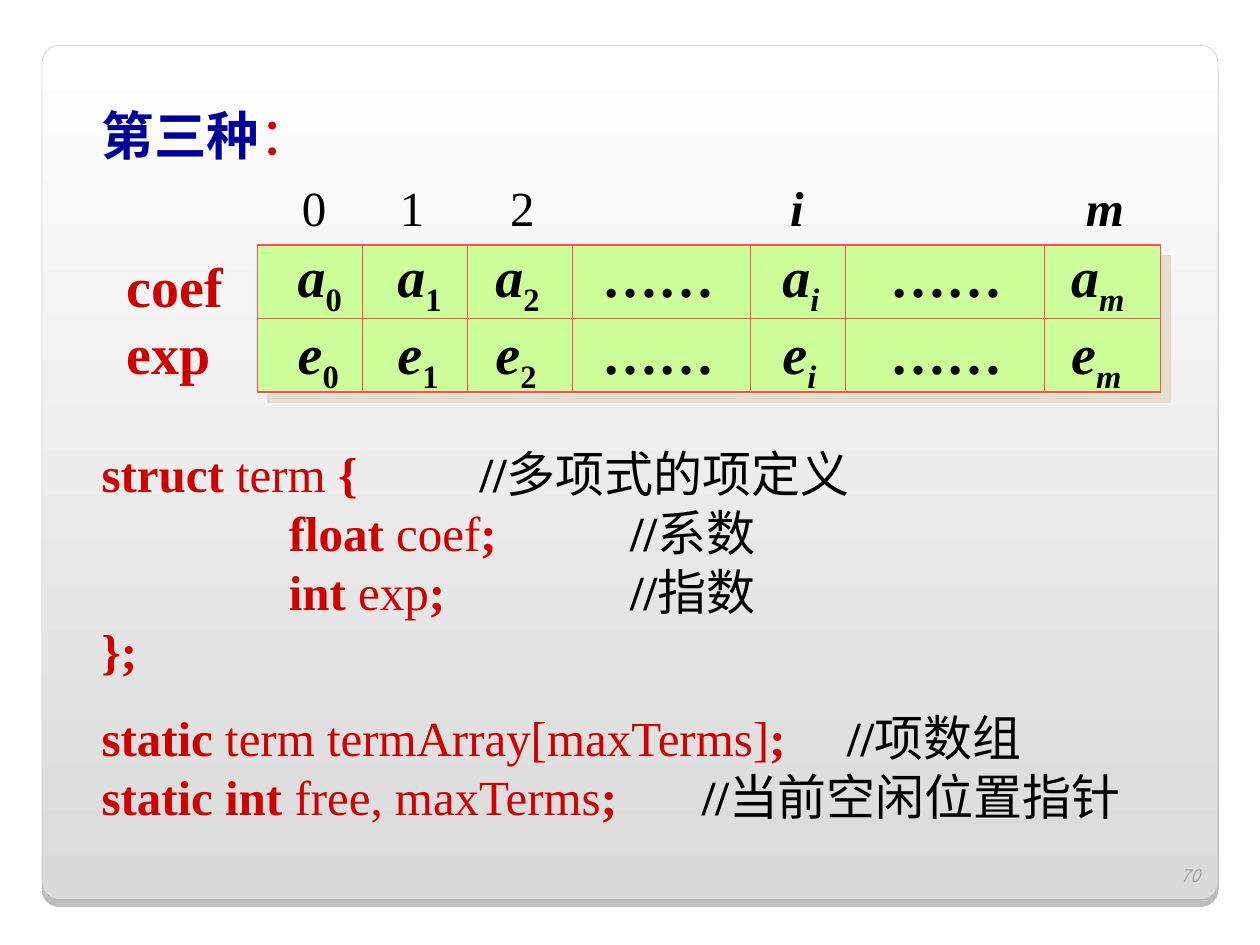
from lxml import etree
from pptx import Presentation
from pptx.dml.color import RGBColor
from pptx.enum.shapes import MSO_CONNECTOR, MSO_SHAPE
from pptx.enum.text import MSO_ANCHOR, MSO_AUTO_SIZE, PP_ALIGN
from pptx.oxml.ns import qn
from pptx.util import Pt

LINE = MSO_CONNECTOR.STRAIGHT
RECT, ROUND = MSO_SHAPE.RECTANGLE, MSO_SHAPE.ROUNDED_RECTANGLE
TOP, BOTTOM = MSO_ANCHOR.TOP, MSO_ANCHOR.BOTTOM
LEFT, RIGHT = PP_ALIGN.LEFT, PP_ALIGN.RIGHT
FIXED = MSO_AUTO_SIZE.NONE
SERIF, SANS = "Times New Roman", "Noto Sans CJK SC"
RED, BLACK, NAVY, GREY = "CC0000", "000000", "000099", "A7A399"
EDGE, GREEN = "FF5050", "CCFF99"


def rgb(code):
    return RGBColor.from_string(code)


def write(box, rows, size, pitch, face=SERIF, align=LEFT, wrap=True):
    frame = box.text_frame
    frame.word_wrap = wrap
    frame.auto_size = FIXED
    for n, (stops, gap, runs) in enumerate(rows):
        para = frame.add_paragraph() if n else frame.paragraphs[0]
        if stops:
            tabs = etree.SubElement(para._p.get_or_add_pPr(), qn("a:tabLst"))
            for stop in stops:
                etree.SubElement(tabs, qn("a:tab"), pos=str(Pt(stop)), algn="l")
        para.alignment = align
        para.line_spacing = Pt(pitch)
        para.space_before = Pt(gap)
        for text, code, style in runs:
            run = para.add_run()
            run.text = text
            font = run.font
            font.size = Pt(size)
            font.bold = "b" in style
            font.italic = "i" in style
            font.color.rgb = rgb(code)
            font.name = face
            props = run._r.get_or_add_rPr()
            etree.SubElement(props, qn("a:ea"), typeface=SANS)
            if "s" in style:
                props.set("baseline", "-25000")


deck = Presentation()
deck.slide_width, deck.slide_height = Pt(720), Pt(540)
slide = deck.slides.add_slide(deck.slide_layouts[5])
shapes = slide.shapes

panel = shapes.add_shape(ROUND, Pt(24), Pt(26), Pt(672), Pt(488))
panel.adjustments[0] = 0.02
panel.fill.gradient()
panel.fill.gradient_angle = 270
for stop, code in zip(panel.fill.gradient_stops, ("FFFFFF", "DADADA")):
    stop.color.rgb = rgb(code)
panel.line.color.rgb = rgb("A4A3A3")
panel.line.width = Pt(0.17)
panel._element.getparent().insert(2, panel._element)

title = shapes.title
title.left, title.top, title.width, title.height = Pt(51), Pt(55), Pt(628), Pt(44)
title.text_frame.vertical_anchor = TOP
write(title, [((), 0, [("第三种", NAVY, "b"), ("：", RED, "")])], 30, 36)

code_rows = [
    ([216], 0, [("struct ", RED, "b"), ("term ", RED, ""), ("{\t", RED, "b"),
                ("//", BLACK, "b"), ("多项式的项定义", BLACK, "")]),
    ([107, 302], 0, [("\tfloat ", RED, "b"), ("coef", RED, ""), (";\t", RED, "b"),
                     ("//", BLACK, "b"), ("系数", BLACK, "")]),
    ([107, 302], 0, [("\tint", RED, "b"), (" exp", RED, ""), (";\t", RED, "b"),
                     ("//", BLACK, "b"), ("指数", BLACK, "")]),
    ([], 0, [("};", RED, "b")]),
    ([426], 16, [("static ", RED, "b"), ("term termArray[maxTerms]", RED, ""),
                 (";\t", RED, "b"), ("//", BLACK, "b"), ("项数组", BLACK, "")]),
    ([343], 0, [("static int", RED, "b"), (" free, maxTerms", RED, ""),
                (";\t", RED, "b"), ("//", BLACK, "b"), ("当前空闲位置指针", BLACK, "")]),
]
code_box = shapes.add_textbox(Pt(51), Pt(250), Pt(628), Pt(226))
write(code_box, code_rows, 28, 33.7)

x, y, wide, high = 147, 140, 516, 84
grid = shapes.add_shape(RECT, Pt(x), Pt(y), Pt(wide), Pt(high))
grid.fill.solid()
grid.fill.fore_color.rgb = rgb(GREEN)
grid.line.color.rgb = rgb(EDGE)
grid.line.width = Pt(0.75)

for shape, code, alpha, dist, turn in ((panel, BLACK, 25, 4, 90),
                                       (grid, "E3DED1", 100, 8.5, 45)):
    shape.shadow.inherit = False
    effects = shape._element.spPr.find(qn("a:effectLst"))
    shade = etree.SubElement(effects, qn("a:outerShdw"), blurRad="0",
                             dist=str(Pt(dist)), dir=str(turn * 60000),
                             algn="tl", rotWithShape="0")
    tint = etree.SubElement(shade, qn("a:srgbClr"), val=code)
    etree.SubElement(tint, qn("a:alpha"), val=str(alpha * 1000))

rules = [(at, y, at, y + high) for at in (207, 267, 327, 429, 483, 597)]
rules.append((x, y + high / 2, x + wide, y + high / 2))
for ends in rules:
    rule = shapes.add_connector(LINE, *[Pt(end) for end in ends])
    rule.line.color.rgb = rgb(EDGE)
    rule.line.width = Pt(0.75)
    etree.SubElement(rule._element.spPr, qn("a:effectLst"))
rule.begin_connect(grid, 1)
rule.end_connect(grid, 3)

cell_rows = []
for name in "ae":
    runs = []
    for sub in ("0", "1", "2", "", "i", "", "m"):
        tail = "" if sub == "m" else "\t"
        if sub:
            runs.append((name, BLACK, "bi"))
            runs.append((sub + tail, BLACK, "bs" if sub.isdigit() else "bis"))
        else:
            runs.append(("……" + tail, BLACK, "b"))
    cell_rows.append(([57, 113, 174, 277, 339, 442], 0, runs))
cells = shapes.add_textbox(Pt(163), Pt(134), Pt(486), Pt(95))
write(cells, cell_rows, 32, 44, wrap=False)

labels = shapes.add_textbox(Pt(65.5), Pt(140), Pt(69), Pt(84))
write(labels, [((), 0, [(name, RED, "b")]) for name in ("coef", "exp")],
      32, 38.5, wrap=False)

heads = shapes.add_textbox(Pt(165.5), Pt(98), Pt(484), Pt(41))
write(heads, [([56, 119, 279, 448], 0,
               [("0\t1\t2\t", BLACK, ""), ("i\tm", BLACK, "bi")])],
      28, 33.7, wrap=False)

number = shapes.add_textbox(Pt(657), Pt(481), Pt(36), Pt(29))
number.text_frame.vertical_anchor = BOTTOM
write(number, [((), 0, [("70", GREY, "i")])], 10, 14.5, SANS, RIGHT)

deck.save("out.pptx")
